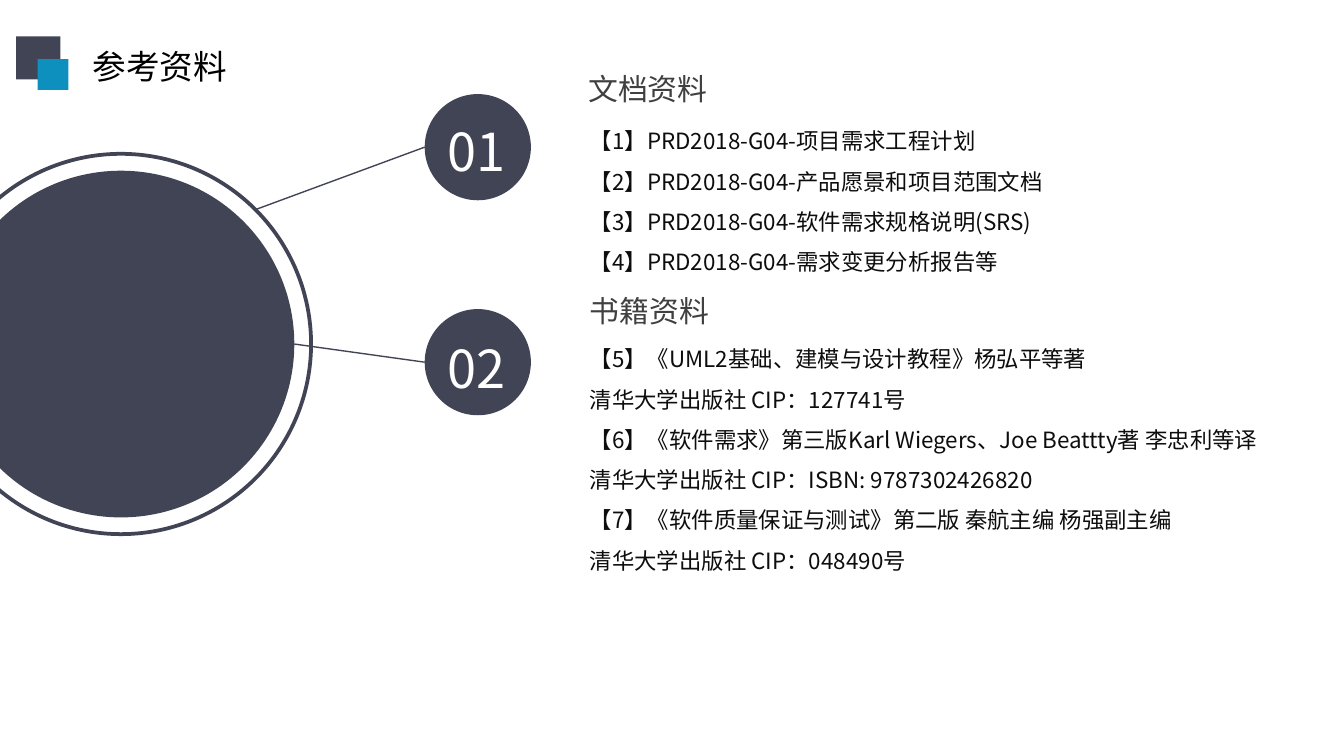
import pptx
import pptx.util
import pptx.dml.color
import pptx.enum.shapes
import pptx.enum.text
import pptx.oxml.ns
import lxml.etree

FONT = "Noto Sans CJK SC"
DARK, BLUE, WHITE = "414455", "0E90BE", "FFFFFF"
HEADING, BODY, BLACK = "404040", "0D0D0D", "000000"

TITLE = "参考资料"
SECTIONS = [
    {
        "number": "01", "number_top": 0.84,
        "circle_top": 0.7, "line_start": (1.9, 1.56),
        "heading": "文档资料", "heading_at": (4.28, 0.48),
        "list_top": 0.8, "list_size": (3.88, 1.31),
        "entries": [
            "【1】PRD2018-G04-项目需求工程计划",
            "【2】PRD2018-G04-产品愿景和项目范围文档",
            "【3】PRD2018-G04-软件需求规格说明(SRS)",
            "【4】PRD2018-G04-需求变更分析报告等",
        ],
    },
    {
        "number": "02", "number_top": 2.45,
        "circle_top": 2.3, "line_start": (2.19, 2.56),
        "heading": "书籍资料", "heading_at": (4.29, 2.13),
        "list_top": 2.42, "list_size": (5.37, 1.88),
        "entries": [
            "【5】《UML2基础、建模与设计教程》杨弘平等著",
            "清华大学出版社 CIP：127741号",
            "【6】《软件需求》第三版Karl Wiegers、Joe Beattty著 李忠利等译",
            "清华大学出版社 CIP：ISBN: 9787302426820",
            "【7】《软件质量保证与测试》第二版 秦航主编 杨强副主编",
            "清华大学出版社 CIP：048490号",
        ],
    },
]
HUB_CENTER = (0.9, 2.56)
HUB_DISC, HUB_RING = 2.58, 2.83
CIRCLE_LEFT, CIRCLE_SIZE = 3.16, 0.79
LIST_LEFT = 4.29

SHAPES = pptx.enum.shapes.MSO_SHAPE
inches = pptx.util.Inches

deck = pptx.Presentation()
deck.slide_width = inches(10)
deck.slide_height = deck.slide_width * 9 // 16
page = deck.slides.add_slide(deck.slide_layouts[6])


def color(value):
    return pptx.dml.color.RGBColor.from_string(value)


def add_shape(kind, left, top, width, height, fill=None, outline=None):
    shape = page.shapes.add_shape(kind, *map(inches, (left, top, width, height)))
    shape.shadow.inherit = False
    if fill:
        shape.fill.solid()
        shape.fill.fore_color.rgb = color(fill)
    else:
        shape.fill.background()
    if outline:
        shape.line.color.rgb = color(outline)
        shape.line.width = pptx.util.Pt(2)
    else:
        shape.line.fill.background()


def add_hub(size, **style):
    left, top = (center - size / 2 for center in HUB_CENTER)
    add_shape(SHAPES.OVAL, left, top, size, size, **style)


def add_line(start, end):
    line = page.shapes.add_connector(
        pptx.enum.shapes.MSO_CONNECTOR.STRAIGHT, *map(inches, (*start, *end)))
    line.line.color.rgb = color(DARK)
    line.line.width = pptx.util.Pt(0.75)
    lxml.etree.SubElement(line._element.spPr, pptx.oxml.ns.qn("a:effectLst"))


def add_text(lines, left, top, width, height, size, ink, wrap=True, spacing=None):
    box = page.shapes.add_textbox(*map(inches, (left, top, width, height)))
    frame = box.text_frame
    frame.word_wrap = wrap
    frame.auto_size = pptx.enum.text.MSO_AUTO_SIZE.SHAPE_TO_FIT_TEXT
    frame.text = "\n".join(lines)
    for para in frame.paragraphs:
        if spacing:
            para.line_spacing = spacing
        for span in para.runs:
            span.font.size = pptx.util.Pt(size)
            span.font.color.rgb = color(ink)
            span.font.name = FONT
            east_asian = lxml.etree.SubElement(
                span._r.get_or_add_rPr(), pptx.oxml.ns.qn("a:ea"))
            east_asian.set("typeface", FONT)


add_hub(HUB_DISC, fill=DARK)
add_hub(HUB_RING, outline=DARK)

for section in SECTIONS:
    top = section["circle_top"]
    add_line(section["line_start"], (CIRCLE_LEFT, top + CIRCLE_SIZE / 2))
    add_shape(SHAPES.OVAL, CIRCLE_LEFT, top, CIRCLE_SIZE, CIRCLE_SIZE, fill=DARK)
    add_text([section["number"]], CIRCLE_LEFT + 0.07, section["number_top"],
             0.66, 0.57, 28, WHITE, wrap=False)
    add_text(section["entries"], LIST_LEFT, section["list_top"],
             *section["list_size"], 12, BODY, spacing=1.5)
    add_text([section["heading"]], *section["heading_at"], 2.21, 0.37, 16, HEADING)

add_text([TITLE], 0.59, 0.29, 1.21, 0.4, 18, BLACK, wrap=False)
add_shape(SHAPES.RECTANGLE, 0.12, 0.27, 0.33, 0.32, fill=DARK)
add_shape(SHAPES.RECTANGLE, 0.28, 0.44, 0.23, 0.23, fill=BLUE)

deck.save("out.pptx")
